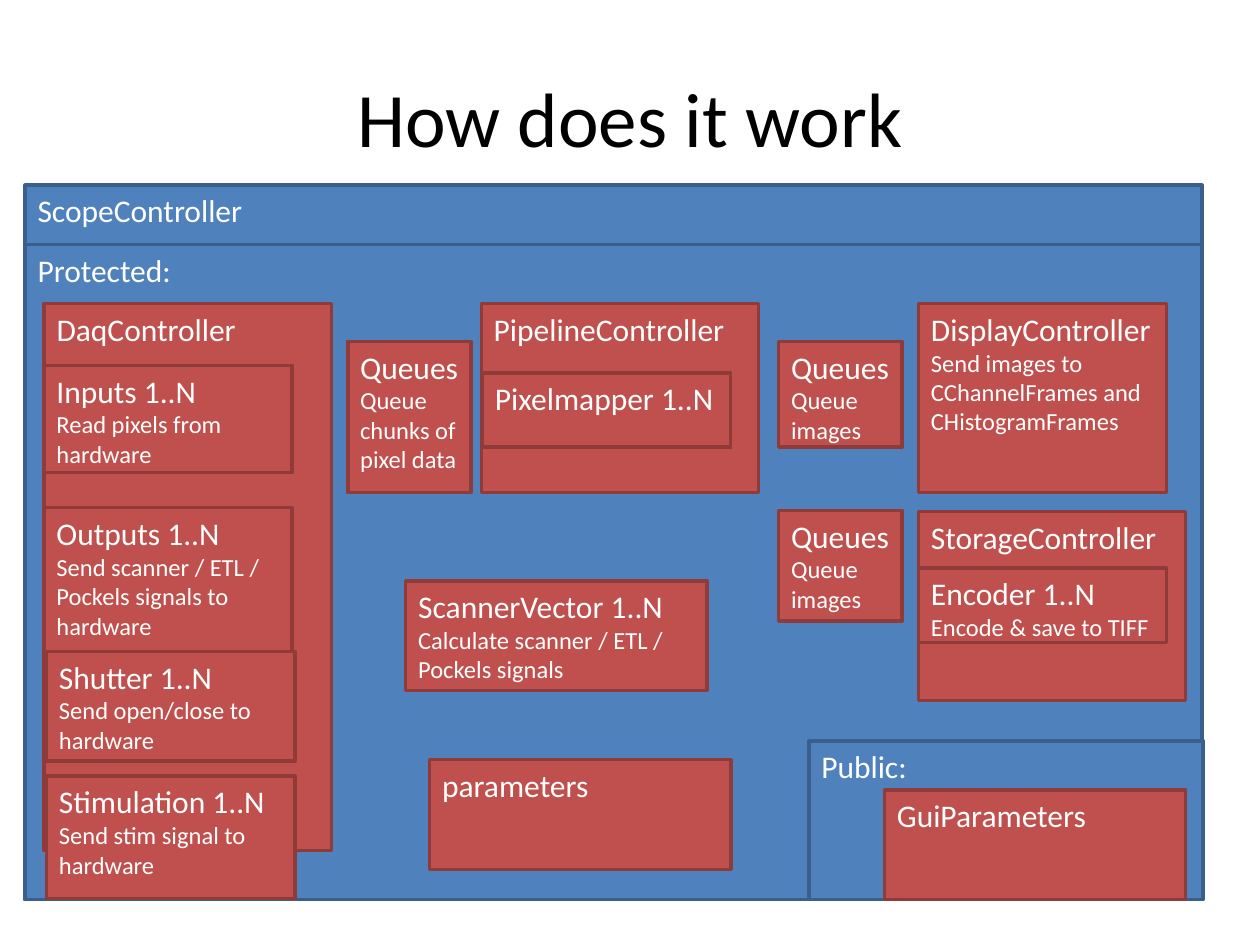
from pptx import Presentation
from pptx.dml.color import RGBColor
from pptx.enum.shapes import MSO_SHAPE
from pptx.enum.text import MSO_ANCHOR as ANCHOR, PP_ALIGN as ALIGN
from pptx.util import Emu, Pt

SCALE = 9144  # EMU per px, 100 px to the inch
COLORS = {
    "text": "000000",
    "box_text": "FFFFFF",
    "scope": "4F81BD",
    "scope_line": "3A5F8C",
    "member": "C0504D",
    "member_line": "8E3B39",
}


def px(*lengths):
    return [Emu(n * SCALE) for n in lengths]


def rgb(name):
    return RGBColor.from_string(COLORS[name])


class Diagram:
    """Holds the text style and the slide being drawn."""

    font = "Calibri"
    title_size, name_size, note_size = 44, 18, 14
    line_width = 2

    def __init__(self, slide):
        self.s = slide

    def style(self, p, size, color, align):
        p.alignment = align
        p.font.name = self.font
        p.font.size = Pt(size)
        p.font.color.rgb = rgb(color)

    def title(self, text, x, y, w, h):
        sp = self.s.shapes.title
        sp.left, sp.top, sp.width, sp.height = px(x, y, w, h)
        tf = sp.text_frame
        tf.text = text
        tf.vertical_anchor = ANCHOR.MIDDLE
        self.style(tf.paragraphs[0], self.title_size, "text", ALIGN.CENTER)

    def box(self, kind, x, y, w, h, name, note=None):
        """Draws a box with its name and an optional smaller note below."""
        sp = self.s.shapes.add_shape(MSO_SHAPE.RECTANGLE, *px(x, y, w, h))
        sp.shadow.inherit = False
        sp.fill.solid()
        sp.fill.fore_color.rgb = rgb(kind)
        sp.line.color.rgb = rgb(kind + "_line")
        sp.line.width = Pt(self.line_width)
        tf = sp.text_frame
        tf.word_wrap = True
        tf.vertical_anchor = ANCHOR.TOP
        p = tf.paragraphs[0]
        p.text = name
        self.style(p, self.name_size, "box_text", ALIGN.LEFT)
        if note:
            p = tf.add_paragraph()
            p.text = note
            self.style(p, self.note_size, "box_text", ALIGN.LEFT)

    def scope(self, *args):
        self.box("scope", *args)

    def member(self, *args):
        self.box("member", *args)


CONTROLLERS = [
    (35, 241, 228, 434, "DaqController"),
    (382, 241, 220, 150, "PipelineController"),
    (729, 241, 197, 150, "DisplayController",
     "Send images to CChannelFrames and CHistogramFrames"),
    (729, 406, 212, 150, "StorageController"),
]
UNIT_W = 197
UNITS = [
    (35, 290, UNIT_W, 85, "Inputs 1..N", "Read pixels from hardware"),
    (35, 403, UNIT_W, 114, "Outputs 1..N",
     "Send scanner / ETL / Pockels signals to hardware"),
    (37, 517, UNIT_W, 87, "Shutter 1..N", "Send open/close to hardware"),
    (37, 616, UNIT_W, 97, "Stimulation 1..N", "Send stim signal to hardware"),
    (383, 296, UNIT_W, 59, "Pixelmapper 1..N"),
    (729, 451, UNIT_W, 59, "Encoder 1..N", "Encode & save to TIFF"),
]
QUEUE_W = 98
QUEUES = [
    (276, 271, QUEUE_W, 120, "Queues", "Queue chunks of pixel data"),
    (618, 271, QUEUE_W, 84, "Queues", "Queue images"),
    (618, 405, QUEUE_W, 88, "Queues", "Queue images"),
]
DATA_W, DATA_H = 239, 87


def main():
    prs = Presentation()
    prs.slide_width, prs.slide_height = px(1000, 750)
    d = Diagram(prs.slides.add_slide(prs.slide_layouts[5]))

    d.title("How does it work", 50, 30, 900, 125)
    d.scope(20, 147, 934, 567, "ScopeController")
    d.scope(20, 194, 934, 520, "Protected:")
    for member in CONTROLLERS + UNITS + QUEUES:
        d.member(*member)
    d.member(322, 461, DATA_W, DATA_H, "ScannerVector 1..N",
             "Calculate scanner / ETL / Pockels signals")
    d.scope(642, 588, 313, 126, "Public:")
    d.member(702, 627, DATA_W, DATA_H, "GuiParameters")
    d.member(341, 603, DATA_W, DATA_H, "parameters")

    prs.save("out.pptx")


if __name__ == "__main__":
    main()
